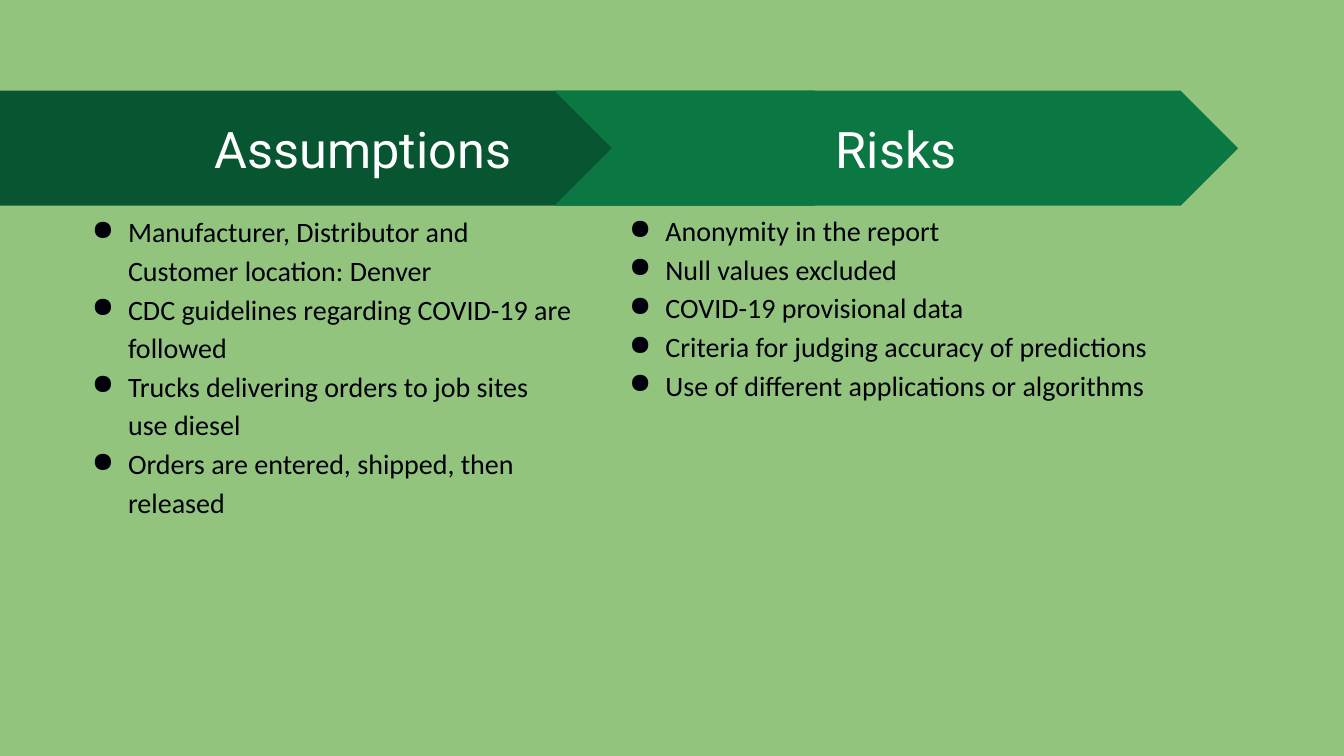
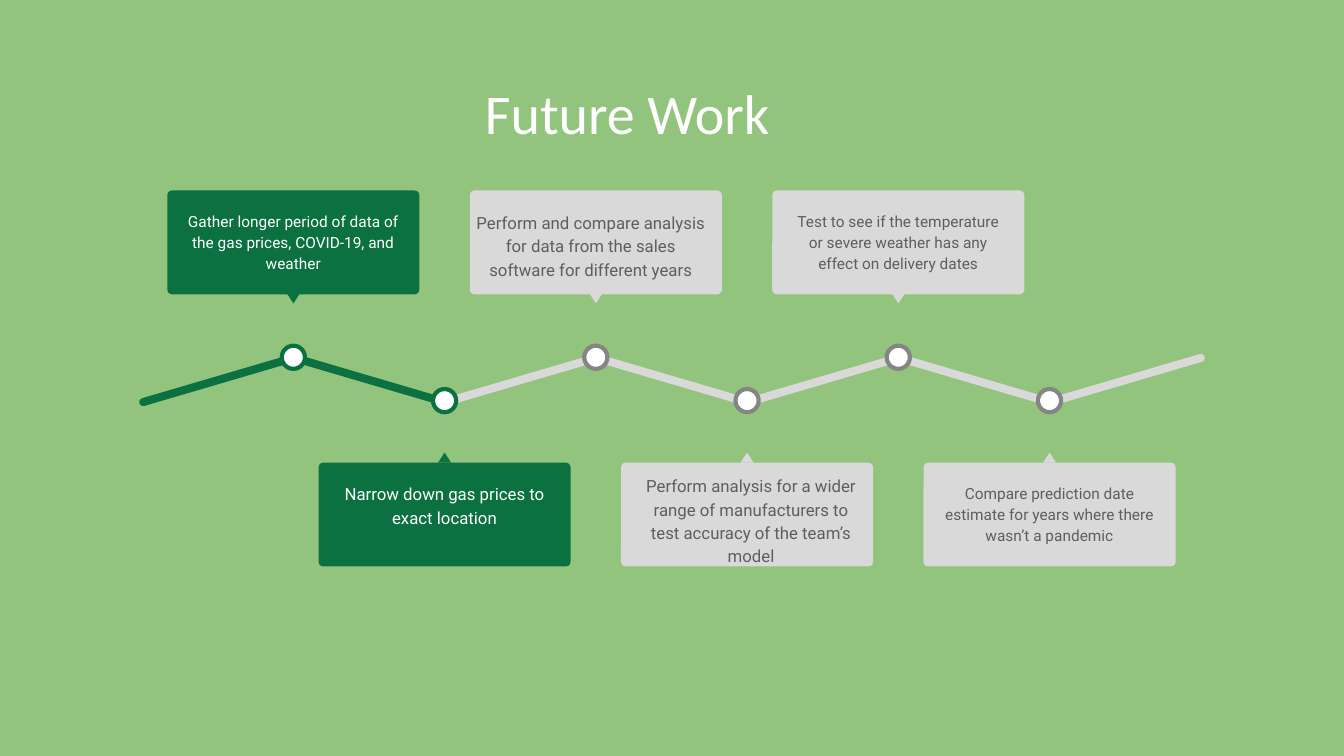
from lxml import etree
from pptx import Presentation
from pptx.dml.color import RGBColor
from pptx.enum.shapes import MSO_SHAPE
from pptx.enum.text import MSO_ANCHOR, PP_ALIGN
from pptx.oxml.ns import qn
from pptx.util import Inches, Pt

LEFT, CENTER = PP_ALIGN.LEFT, PP_ALIGN.CENTER
TOP, MIDDLE = MSO_ANCHOR.TOP, MSO_ANCHOR.MIDDLE
PENTAGON, CHEVRON = MSO_SHAPE.PENTAGON, MSO_SHAPE.CHEVRON
ROUNDED, OVAL = MSO_SHAPE.ROUNDED_RECTANGLE, MSO_SHAPE.OVAL
TRIANGLE = MSO_SHAPE.ISOSCELES_TRIANGLE

COLORS = {
    "background": "93C47D",
    "dark_band": "085631",
    "light_band": "0B7743",
    "done": "0B7140",
    "open": "D9D9D9",
    "open_ring": "858585",
    "open_text": "5E5E5E",
    "ink": "00000A",
    "white": "FFFFFF",
}
HEADING_FONT, BODY_FONT = "Roboto", "Calibri"
PAD = 0.13


def write(shape, lines, size=20, color="ink", font=BODY_FONT, align=LEFT,
          anchor=TOP, spacing=1.0, margin=0, indent=0, bullet=None,
          insets=(PAD, PAD, PAD, PAD)):
    """Fill a shape or text box with one paragraph per line."""
    tf = shape.text_frame
    tf.word_wrap = True
    tf.vertical_anchor = anchor
    tf.margin_left, tf.margin_top, tf.margin_right, tf.margin_bottom = map(Inches, insets)
    for i, line in enumerate(lines):
        p = tf.add_paragraph() if i else tf.paragraphs[0]
        p.alignment = align
        p.line_spacing = spacing
        pPr = p._p.get_or_add_pPr()
        pPr.set("marL", str(Inches(margin)))
        pPr.set("indent", str(Inches(indent)))
        if bullet:
            etree.SubElement(pPr, qn("a:buChar")).set("char", bullet)
        r = p.add_run()
        r.text = line
        r.font.size = Pt(size)
        r.font.name = font
        r.font.color.rgb = RGBColor.from_string(COLORS[color])


def add_shape(s, kind, x, y, w, h, fill, ring=None, adj=None, rotation=0):
    """Add a flat preset shape, with an outline only if a ring colour is given."""
    sp = s.shapes.add_shape(kind, Inches(x), Inches(y), Inches(w), Inches(h))
    sp.shadow.inherit = False
    sp.fill.solid()
    sp.fill.fore_color.rgb = RGBColor.from_string(COLORS[fill])
    if ring:
        sp.line.color.rgb = RGBColor.from_string(COLORS[ring])
        sp.line.width = Pt(3)
    else:
        sp.line.fill.background()
    if adj is not None:
        sp.adjustments[0] = adj
    sp.rotation = rotation
    return sp


prs = Presentation()
prs.slide_width, prs.slide_height = Inches(13.33), Inches(7.5)
slides = []
for _ in range(2):
    s = prs.slides.add_slide(prs.slide_layouts[6])
    s.background.fill.solid()
    s.background.fill.fore_color.rgb = RGBColor.from_string(COLORS["background"])
    slides.append(s)

# Slide 1: assumptions and risks
s = slides[0]
heading = {"size": 36, "color": "white", "font": HEADING_FONT, "anchor": MIDDLE}
sp = add_shape(s, PENTAGON, 0, 0.9, 8.65, 1.14, "dark_band", adj=0.5)
write(sp, ["Assumptions"], margin=1.5, indent=0.5, **heading)
sp = add_shape(s, CHEVRON, 5.5, 0.9, 6.78, 1.14, "light_band", adj=0.5)
write(sp, ["Risks"], align=CENTER, **heading)

# Bullet lists: left, top, width, height, lines
lists = [
    (0.64, 1.95, 5.18, 3.81, [
        "Manufacturer, Distributor and Customer location: Denver",
        "CDC guidelines regarding COVID-19 are followed",
        "Trucks delivering orders to job sites use diesel",
        "Orders are entered, shipped, then released",
    ]),
    (5.97, 1.94, 6.5, 4.44, [
        "Anonymity in the report",
        "Null values excluded",
        "COVID-19 provisional data",
        "Criteria for judging accuracy of predictions",
        "Use of different applications or algorithms",
    ]),
]
for x, y, w, h, lines in lists:
    box = s.shapes.add_textbox(Inches(x), Inches(y), Inches(w), Inches(h))
    write(box, lines, spacing=1.15, margin=0.5, indent=-0.36, bullet="●")

# Slide 2: title
s = slides[1]
box = s.shapes.add_textbox(Inches(1.18), Inches(0.72), Inches(10.94), Inches(1.39))
write(box, ["Future Work"], size=40, color="white", spacing=0.9, margin=3, indent=0.5)

# Zigzag line, drawn from the right so the finished part lies on top
STEP, SEGMENTS, DONE = 1.5, 7, 2
for i in reversed(range(SEGMENTS)):
    add_shape(s, ROUNDED, 1.35 + i * STEP, 3.73, 1.63, 0.08,
              "done" if i < DONE else "open", adj=0.5,
              rotation=16.4 if i % 2 else -16.4)

# Milestones, alternately above and below the line: text, size, card insets
NORMAL = (0.18, 0.17, 0.18, 0)
milestones = [
    ("Gather longer period of data of the gas prices, COVID-19, and weather", 11, NORMAL),
    ("Narrow down gas prices to exact location", 12, NORMAL),
    ("Perform and compare analysis for data from the sales software for different years",
     12, (0.04, 0.18, 0.14, 0)),
    ("Perform analysis for a wider range of manufacturers to test accuracy of the team’s model",
     12, (0.16, 0.09, 0.08, 0)),
    ("Test to see if the temperature or severe weather has any effect on delivery dates",
     11, NORMAL),
    ("Compare prediction date estimate for years where there wasn’t a pandemic", 11, NORMAL),
]
CARD_W, CARD_H, DOT, TIP_W, TIP_H = 2.5, 1.03, 0.23, 0.13, 0.1
for i, (text, size, insets) in enumerate(milestones):
    center = 2.91 + i * STEP
    below = i % 2 == 1
    card_y, tip_y, dot_y = (4.59, 4.49, 3.86) if below else (1.89, 2.91, 3.43)
    fill, ring, color = (("done", "done", "white") if i < DONE
                         else ("open", "open_ring", "open_text"))
    add_shape(s, OVAL, center - DOT / 2, dot_y, DOT, DOT, "white", ring=ring)
    card = add_shape(s, ROUNDED, center - CARD_W / 2, card_y, CARD_W, CARD_H, fill, adj=0.045)
    write(card, [text], size=size, color=color, font=HEADING_FONT, align=CENTER,
          spacing=1.15, insets=insets)
    add_shape(s, TRIANGLE, center - TIP_W / 2, tip_y, TIP_W, TIP_H, fill,
              rotation=0 if below else 180)

prs.save("out.pptx")
